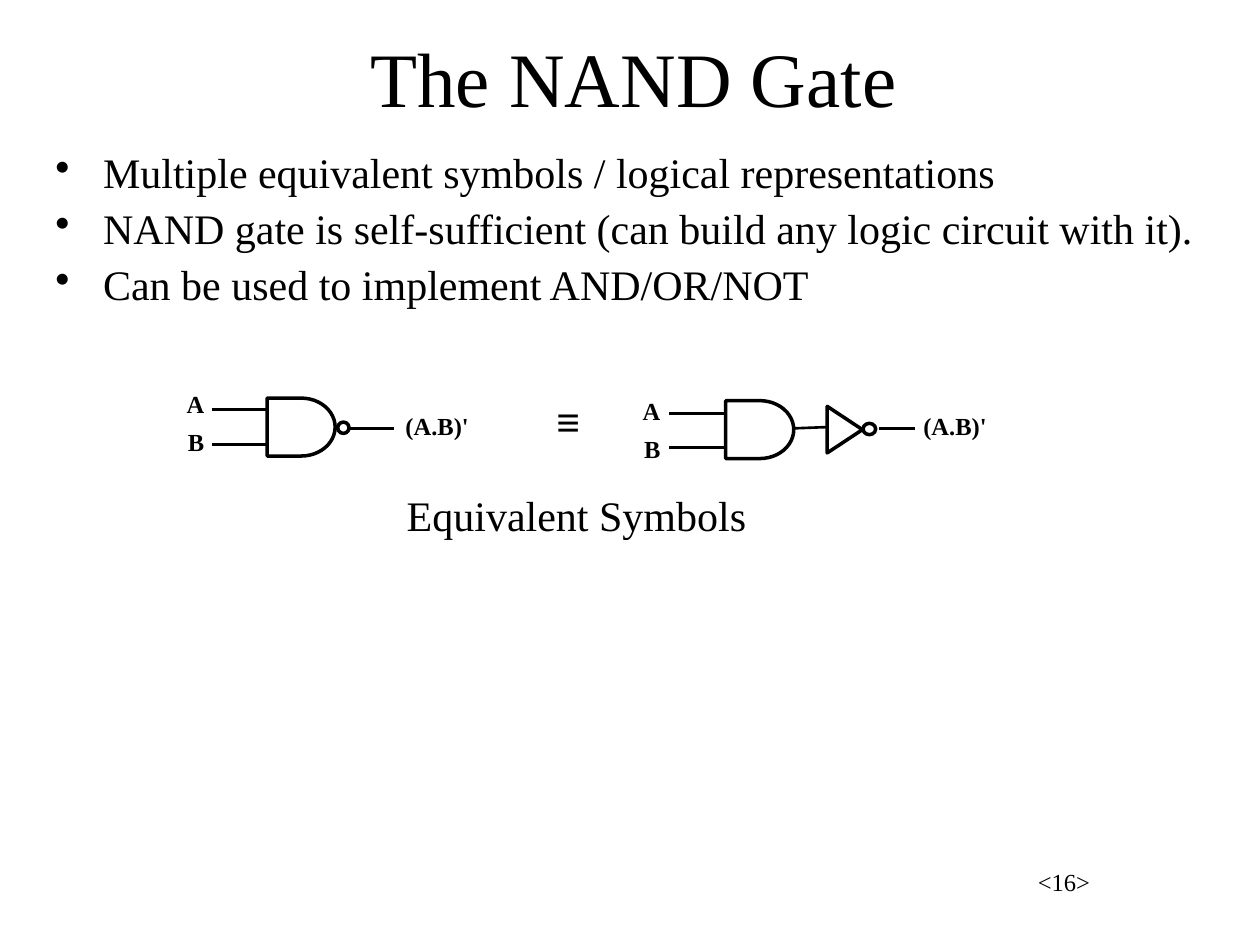
from lxml.etree import SubElement
from pptx import Presentation
from pptx.dml.color import RGBColor
from pptx.enum.shapes import MSO_CONNECTOR as Link, MSO_SHAPE as Kind
from pptx.enum.text import MSO_ANCHOR as Anchor, PP_ALIGN as Align
from pptx.oxml.ns import qn
from pptx.util import Inches, Pt


class Theme:
    ink = RGBColor(0, 0, 0)
    font = "Times New Roman"
    title, body, label = Pt(44), Pt(24), Pt(14)
    wire, edge = Pt(1.5), Pt(2)


def write(home, box, lines, size, bold=False, anchor=Anchor.TOP, **form):
    frame = home.add_textbox(*map(Inches, box)).text_frame
    frame.word_wrap = True
    frame.vertical_anchor = anchor
    for i, line in enumerate(lines):
        para = frame.add_paragraph() if i else frame.paragraphs[0]
        for name, value in form.items():
            setattr(para, name, value)
        run = para.add_run()
        run.text = line
        look = {"name": Theme.font, "size": size, "bold": bold}
        for name, value in look.items():
            setattr(run.font, name, value)
        run.font.color.rgb = Theme.ink
    return frame


deck = Presentation()
deck.slide_width, deck.slide_height = Inches(10), Inches(7.5)
slide = deck.slides.add_slide(deck.slide_layouts[6])
root = slide.shapes

write(root, (6.67, 6.83, 2.08, 0.5), ["<16>"], Theme.label, alignment=Align.RIGHT)
write(root, (0.78, 0.19, 8.5, 0.83), ["The NAND Gate"], Theme.title,
      anchor=Anchor.MIDDLE, alignment=Align.CENTER)

points = [
    "Multiple equivalent symbols / logical representations",
    "NAND gate is self-sufficient (can build any logic circuit with it).",
    "Can be used to implement AND/OR/NOT",
]
body = write(root, (0.34, 1.16, 9.29, 1.52), points, Theme.body,
             line_spacing=0.9, space_before=Pt(6))
for para in body.paragraphs:
    props = para._p.get_or_add_pPr()
    props.set("marL", str(Inches(0.38)))
    props.set("indent", str(-Inches(0.38)))
    SubElement(props, qn("a:buChar")).set("char", "•")

gates = [
    {
        "wires": [(1.68, 3.25, 2.12, 3.25), (1.68, 3.53, 2.12, 3.53),
                  (2.77, 3.4, 3.13, 3.4)],
        "parts": [(Kind.FLOWCHART_DELAY, (2.12, 3.16, 0.54, 0.46), 0),
                  (Kind.OVAL, (2.68, 3.35, 0.09, 0.09), 0)],
        "input": (1.36, 3.04, 0.36, 0.64),
        "output": (3.12, 3.21, 0.83, 0.33),
    },
    {
        "wires": [(5.31, 3.28, 5.76, 3.28), (5.31, 3.55, 5.76, 3.55),
                  (6.29, 3.4, 6.56, 3.39), (6.98, 3.4, 7.26, 3.4)],
        "parts": [(Kind.FLOWCHART_MERGE, (6.52, 3.27, 0.37, 0.28), 270),
                  (Kind.OVAL, (6.85, 3.36, 0.1, 0.09), 0),
                  (Kind.FLOWCHART_DELAY, (5.76, 3.18, 0.54, 0.46), 0)],
        "input": (4.98, 3.09, 0.36, 0.64),
        "output": (7.23, 3.21, 0.8, 0.33),
    },
]
for gate in gates:
    group = root.add_group_shape().shapes
    for ends in gate["wires"]:
        wire = group.add_connector(Link.STRAIGHT, *map(Inches, ends))
        wire.line.color.rgb = Theme.ink
        wire.line.width = Theme.wire
        SubElement(wire._element.spPr, qn("a:effectLst"))
    for kind, box, turn in gate["parts"]:
        part = group.add_shape(kind, *map(Inches, box))
        part.rotation = turn
        part.shadow.inherit = False
        part.fill.background()
        part.line.color.rgb = Theme.ink
        part.line.width = Theme.edge
    write(group, gate["input"], "AB", Theme.label, bold=True,
          alignment=Align.RIGHT, space_before=Pt(5))
    write(group, gate["output"], ["(A.B)'"], Theme.label, bold=True)

write(root, (4.24, 3.09, 0.54, 0.5), ["≡"], Theme.body, bold=True,
      alignment=Align.CENTER)
write(root, (2.93, 3.88, 3.29, 0.42), ["Equivalent Symbols"], Theme.body,
      alignment=Align.CENTER, line_spacing=0.9)

deck.save("out.pptx")
